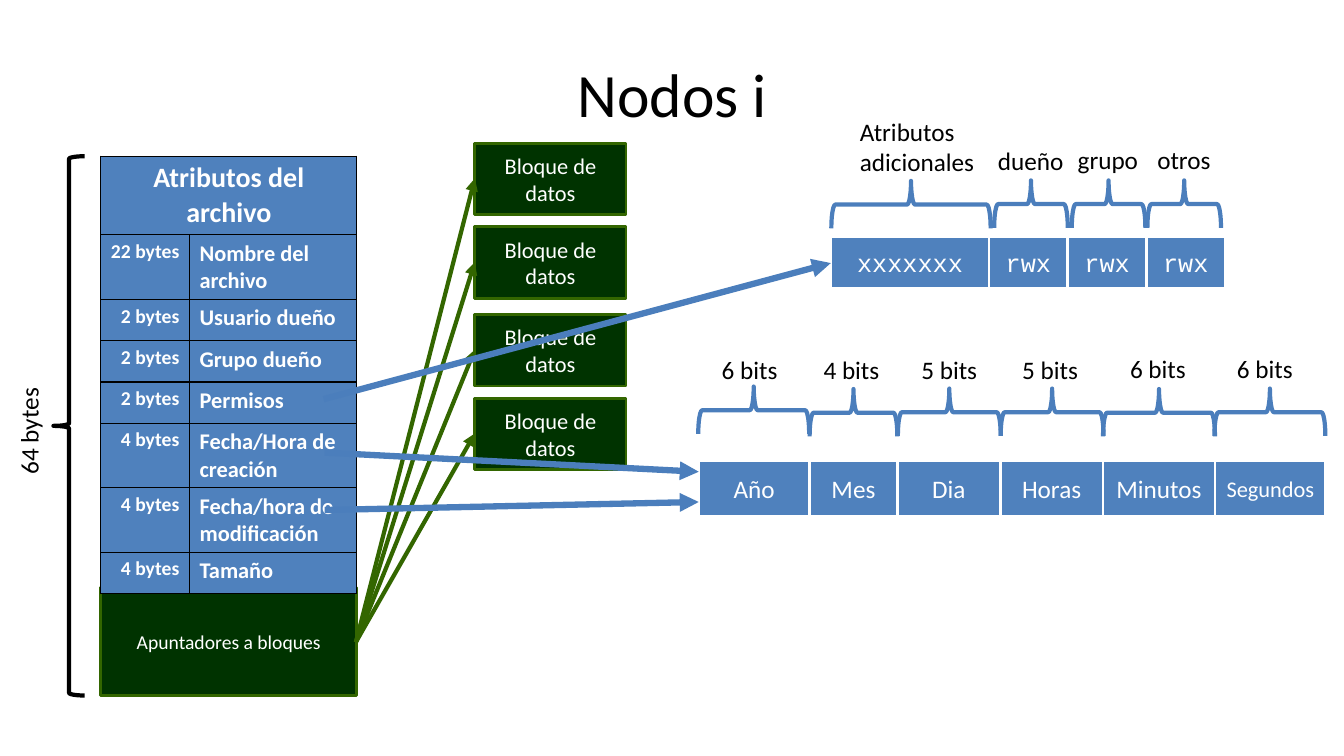
from lxml.etree import SubElement
from pptx import Presentation
from pptx.dml.color import RGBColor
from pptx.enum.shapes import MSO_CONNECTOR, MSO_SHAPE
from pptx.enum.text import MSO_ANCHOR, PP_ALIGN
from pptx.oxml import parse_xml
from pptx.oxml.ns import nsdecls, qn
from pptx.util import Pt

PX = 9144  # 100 px to the inch
BLUE, BRACE_BLUE = "4F81BD", "4B7EBC"
DARK_GREEN, GREEN = "003300", "336600"
BLACK, WHITE = "000000", "FFFFFF"
color = RGBColor.from_string

prs = Presentation()
prs.slide_width, prs.slide_height = 1333 * PX, 750 * PX
slide = prs.slides.add_slide(prs.slide_layouts[6])


def write(frame, text, size, ink, align=PP_ALIGN.LEFT, font="Calibri", bold=False):
    paragraph = frame.paragraphs[0]
    paragraph.alignment = align
    run = paragraph.add_run()
    run.text = text
    run.font.name, run.font.size, run.font.bold = font, Pt(size), bold
    run.font.color.rgb = color(ink)


def add_outlined(kind, left, top, width, height, line, weight, fill=None):
    shape = slide.shapes.add_shape(kind, left * PX, top * PX, width * PX, height * PX)
    shape.shadow.inherit = False
    shape.line.color.rgb = color(line)
    shape.line.width = Pt(weight)
    if fill:
        shape.fill.solid()
        shape.fill.fore_color.rgb = color(fill)
    else:
        shape.fill.background()
    shape.text_frame.vertical_anchor = MSO_ANCHOR.MIDDLE
    return shape


# Title
title = slide.shapes.add_textbox(67 * PX, 30 * PX, 1200 * PX, 125 * PX).text_frame
title.word_wrap = True
title.vertical_anchor = MSO_ANCHOR.MIDDLE
write(title, "Nodos i", 44, BLACK, PP_ALIGN.CENTER)

# Block pointers and data blocks
pointers = add_outlined(MSO_SHAPE.RECTANGLE, 100, 583, 254, 107, GREEN, 2, DARK_GREEN)
write(pointers.text_frame, "Apuntadores a bloques", 14, WHITE, PP_ALIGN.CENTER)
block_tops = [142, 225, 312, 395]
for top in block_tops:
    block = add_outlined(MSO_SHAPE.RECTANGLE, 471, top, 150, 71, GREEN, 2, DARK_GREEN)
    write(block.text_frame, "Bloque de datos", 16, WHITE, PP_ALIGN.CENTER)

# Table of file attributes
attributes = [
    ("22 bytes", "Nombre del archivo", 64),
    ("2 bytes", "Usuario dueño", 41),
    ("2 bytes", "Grupo dueño", 41),
    ("2 bytes", "Permisos", 41),
    ("4 bytes", "Fecha/Hora de creación", 64),
    ("4 bytes", "Fecha/hora de modificación", 64),
    ("4 bytes", "Tamaño", 41),
]
inode = slide.shapes.add_table(
    len(attributes) + 1, 2, 100 * PX, 155 * PX, 254 * PX, 434 * PX).table
inode.columns[0].width, inode.columns[1].width = 88 * PX, 166 * PX
inode.rows[0].height = 78 * PX
inode.cell(0, 0).merge(inode.cell(0, 1))
write(inode.cell(0, 0).text_frame, "Atributos del archivo", 20, WHITE,
      PP_ALIGN.CENTER, bold=True)
for row, (length, attribute, height) in enumerate(attributes, 1):
    inode.rows[row].height = height * PX
    write(inode.cell(row, 0).text_frame, length, 14, WHITE, PP_ALIGN.RIGHT, bold=True)
    write(inode.cell(row, 1).text_frame, attribute, 16, WHITE, bold=True)
for cell in inode.iter_cells():
    for side in ("lnL", "lnR", "lnT", "lnB"):
        cell._tc.get_or_add_tcPr().append(parse_xml(
            f'<a:{side} {nsdecls("a")} w="12700"><a:solidFill>'
            f'<a:srgbClr val="{BLACK}"/></a:solidFill></a:{side}>'))
    cell.fill.solid()
    cell.fill.fore_color.rgb = color(BLUE)

# Fields of the permissions and of the date: text, width, size
permission_fields = [("xxxxxxx", 157, 18)] + [("rwx", 78, 18)] * 3
date_fields = [("Año", 110, 18), ("Mes", 87, 18), ("Dia", 102, 18),
               ("Horas", 102, 18), ("Minutos", 111, 18), ("Segundos", 110, 16)]
braces = [(824, 179, 158), (986, 179, 73), (1063, 179, 73), (1138, 179, 73)]
for fields, left, top, height, font in (
        (permission_fields, 824, 235, 51, "Courier New"),
        (date_fields, 693, 457, 55, "Calibri")):
    for text, width, size in fields:
        field = add_outlined(MSO_SHAPE.RECTANGLE, left, top, width, height, WHITE, 2, BLUE)
        write(field.text_frame, text, size, WHITE, PP_ALIGN.CENTER, font)
        if fields is date_fields:
            braces.append((left, 384 if text == "Año" else 386, width))
        left += width

# Braces over the fields, and the one beside the whole node
BRACE_DEPTH = 47
for left, top, width in braces:
    inset = (width - BRACE_DEPTH) / 2
    brace = add_outlined(MSO_SHAPE.LEFT_BRACE, round(left + inset), round(top - inset),
                         BRACE_DEPTH, width, BRACE_BLUE, 3)
    brace.rotation = 90
add_outlined(MSO_SHAPE.LEFT_BRACE, 53, 155, 31, 535, BLACK, 3)

# Labels: text, left, top, width, height, rotation
labels = [
    ("Atributos adicionales", 843, 110, 166, 71, 0),
    ("dueño", 980, 139, 86, 40, 0),
    ("grupo", 1059, 138, 81, 40, 0),
    ("otros", 1138, 138, 73, 40, 0),
    ("6 bits", 706, 347, 76, 40, 0),
    ("4 bits", 807, 347, 76, 40, 0),
    ("5 bits", 904, 347, 76, 40, 0),
    ("5 bits", 1004, 347, 76, 40, 0),
    ("6 bits", 1111, 346, 76, 40, 0),
    ("6 bits", 1217, 346, 76, 40, 0),
    ("64 bytes", -25, 407, 107, 40, 270),
]
for text, left, top, width, height, rotation in labels:
    label = slide.shapes.add_textbox(left * PX, top * PX, width * PX, height * PX)
    label.rotation = rotation
    label.text_frame.word_wrap = height > 40
    write(label.text_frame, text, 18, BLACK)

# Arrows: pointers to blocks, then attributes to their fields
arrows = [(353, 637, 471, top + 35, GREEN, 3) for top in block_tops]
arrows += [
    (322, 449, 693, 468, BRACE_BLUE, 4.5),
    (322, 506, 693, 498, BRACE_BLUE, 4.5),
    (321, 396, 824, 261, BRACE_BLUE, 4.5),
]
for x1, y1, x2, y2, ink, weight in arrows:
    arrow = slide.shapes.add_connector(
        MSO_CONNECTOR.STRAIGHT, x1 * PX, y1 * PX, x2 * PX, y2 * PX)
    arrow.line.color.rgb = color(ink)
    arrow.line.width = Pt(weight)
    SubElement(arrow.line._get_or_add_ln(), qn("a:tailEnd"), type="triangle")
    SubElement(arrow._element.spPr, qn("a:effectLst"))

prs.save("out.pptx")
